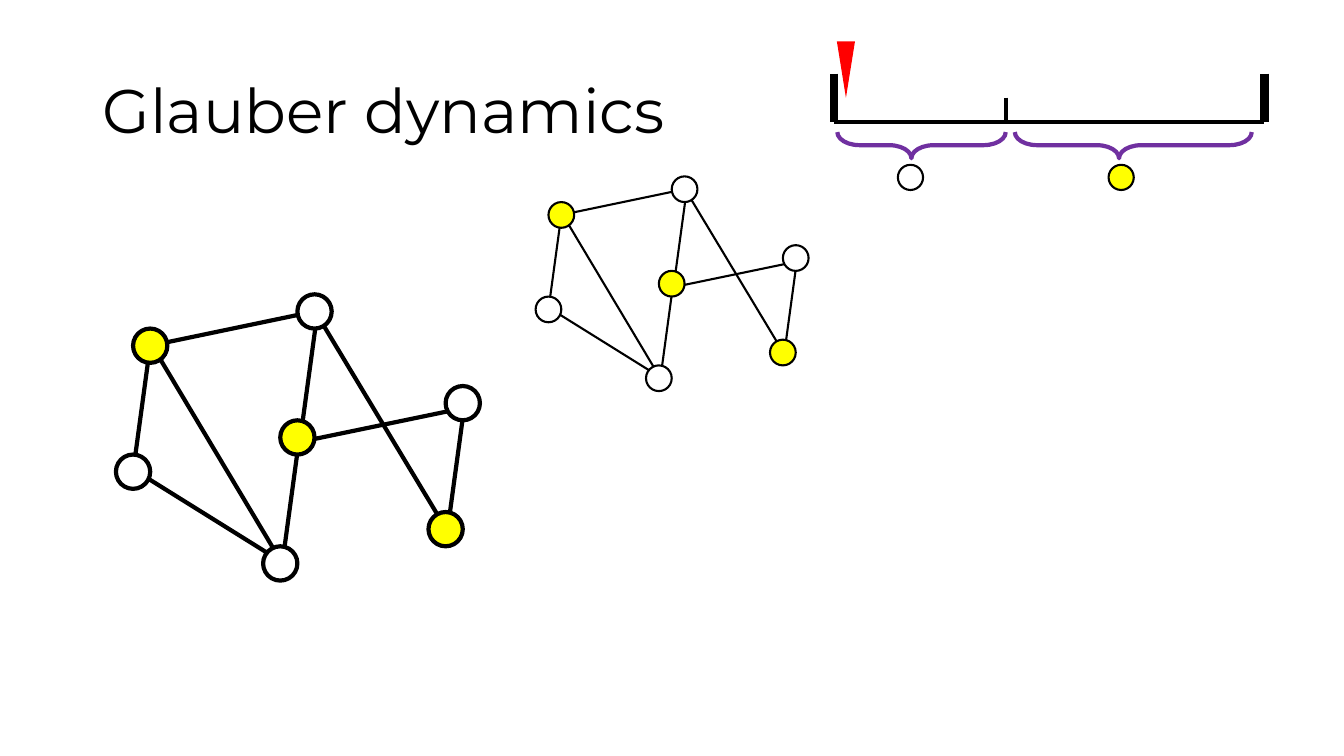
import lxml.etree
import pptx
import pptx.dml.color
import pptx.enum.shapes
import pptx.enum.text
import pptx.oxml.ns
import pptx.util

Inches = pptx.util.Inches
Shape = pptx.enum.shapes.MSO_SHAPE
color = pptx.dml.color.RGBColor.from_string
BLACK, WHITE, YELLOW, RED, PURPLE = "000000", "FFFFFF", "FFFF00", "FF0000", "7030A0"

deck = pptx.Presentation()
deck.slide_width, deck.slide_height = Inches(13.33), Inches(7.5)
page = deck.slides.add_slide(deck.slide_layouts[6])


def draw_line(x1, y1, x2, y2, weight):
    line = page.shapes.add_connector(
        pptx.enum.shapes.MSO_CONNECTOR.STRAIGHT,
        Inches(x1), Inches(y1), Inches(x2), Inches(y2))
    line.line.color.rgb = color(BLACK)
    line.line.width = pptx.util.Pt(weight)
    lxml.etree.SubElement(line._element.spPr, pptx.oxml.ns.qn("a:effectLst"))


def draw_shape(kind, center_x, center_y, width, height, fill=None, outline=None,
               weight=0, rotation=0):
    shape = page.shapes.add_shape(
        kind, Inches(center_x - width / 2), Inches(center_y - height / 2),
        Inches(width), Inches(height))
    shape.shadow.inherit = False
    shape.rotation = rotation
    if fill:
        shape.fill.solid()
        shape.fill.fore_color.rgb = color(fill)
    else:
        shape.fill.background()
    if outline:
        shape.line.color.rgb = color(outline)
        shape.line.width = pptx.util.Pt(weight)
    else:
        shape.line.fill.background()
    return shape


# Title
box = page.shapes.add_textbox(Inches(0.92), Inches(0.4), Inches(11.5), Inches(1.45))
box.text_frame.word_wrap = True
box.text_frame.vertical_anchor = pptx.enum.text.MSO_ANCHOR.MIDDLE
para = box.text_frame.paragraphs[0]
para.line_spacing = 0.9
span = para.add_run()
span.text = "Glauber dynamics"
span.font.name = "Montserrat"
span.font.size = pptx.util.Pt(44)
span.font.color.rgb = color(BLACK)

# Graph: vertex centres with spin colours, edges with a small shift
vertices = {
    "A": (1.49, 3.43, YELLOW), "B": (3.12, 3.09, WHITE),
    "D": (2.78, 5.59, WHITE), "F": (4.42, 5.25, YELLOW),
    "C": (1.32, 4.68, WHITE), "E": (2.95, 4.34, YELLOW),
    "G": (4.59, 4.0, WHITE),
}
edges = [("A", "B", 0, 0), ("C", "A", 0, 0), ("F", "G", 0.02, 0),
         ("E", "B", 0.03, 0), ("D", "E", 0.02, 0), ("E", "G", 0, 0.05),
         ("C", "D", 0.04, 0), ("D", "A", 0.02, 0), ("F", "B", 0, -0.01)]

# The same graph at two sizes: scale, left and top offset, line weight
for scale, left, top, weight in [(0.75, 4.45, -0.44, 1.5), (1, 0, 0, 3)]:
    for start, end, shift_x, shift_y in edges:
        x1, y1, _ = vertices[start]
        x2, y2, _ = vertices[end]
        draw_line(left + scale * (x1 + shift_x), top + scale * (y1 + shift_y),
                  left + scale * (x2 + shift_x), top + scale * (y2 + shift_y), weight)
    for x, y, spin in vertices.values():
        draw_shape(Shape.OVAL, left + scale * x, top + scale * y,
                   0.34 * scale, 0.34 * scale, spin, BLACK, weight)

# Pointer above the interval
draw_shape(Shape.ISOSCELES_TRIANGLE, 8.39, 0.69, 0.18, 0.56, RED, rotation=180)

# Interval with end posts and dividing tick
axis_y, axis_left, axis_right = 1.21, 8.27, 12.54
for x in (axis_left, axis_right):
    draw_line(x, 0.73, x, axis_y, 6)
draw_line(axis_left, axis_y, axis_right, axis_y, 2.25)
draw_line(9.98, 0.97, 9.98, axis_y, 3)

# Braces and the spin each part stands for
for brace_x, length, spin_x, spin in [(9.14, 1.67, 9.03, WHITE),
                                      (11.24, 2.35, 11.12, YELLOW)]:
    brace = draw_shape(Shape.LEFT_BRACE, brace_x, 1.44, 0.26, length,
                       outline=PURPLE, weight=3, rotation=270)
    brace.adjustments[0] = 0.85
    brace.adjustments[1] = 0.44
    draw_shape(Shape.OVAL, spin_x, 1.76, 0.25, 0.25, spin, BLACK, 1.5)

deck.save("out.pptx")
